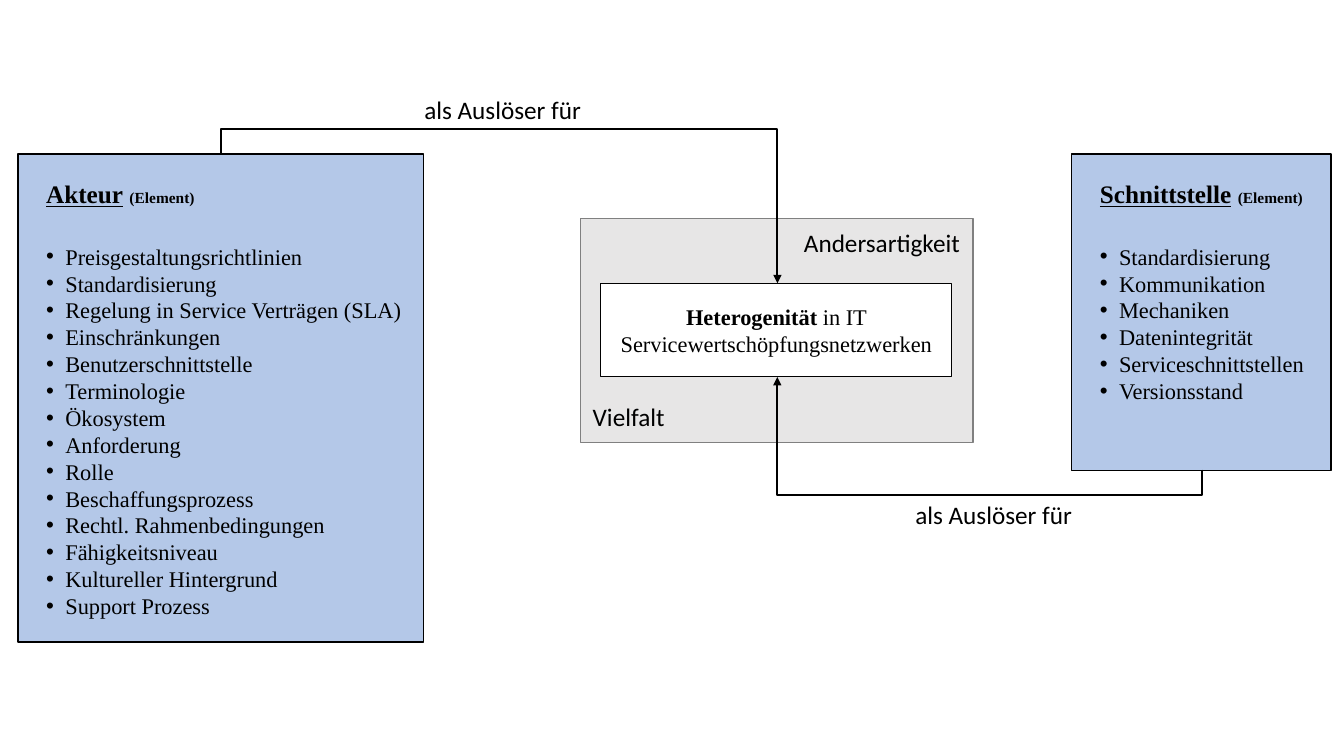
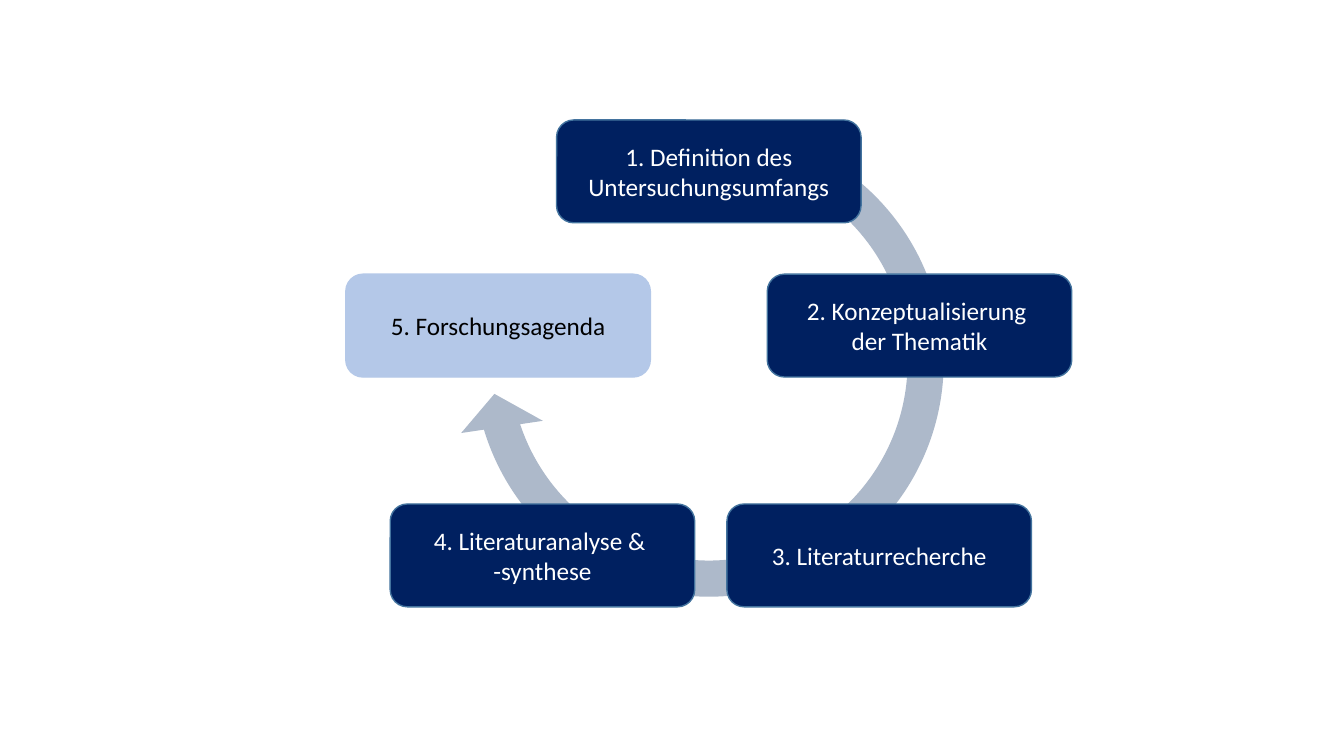
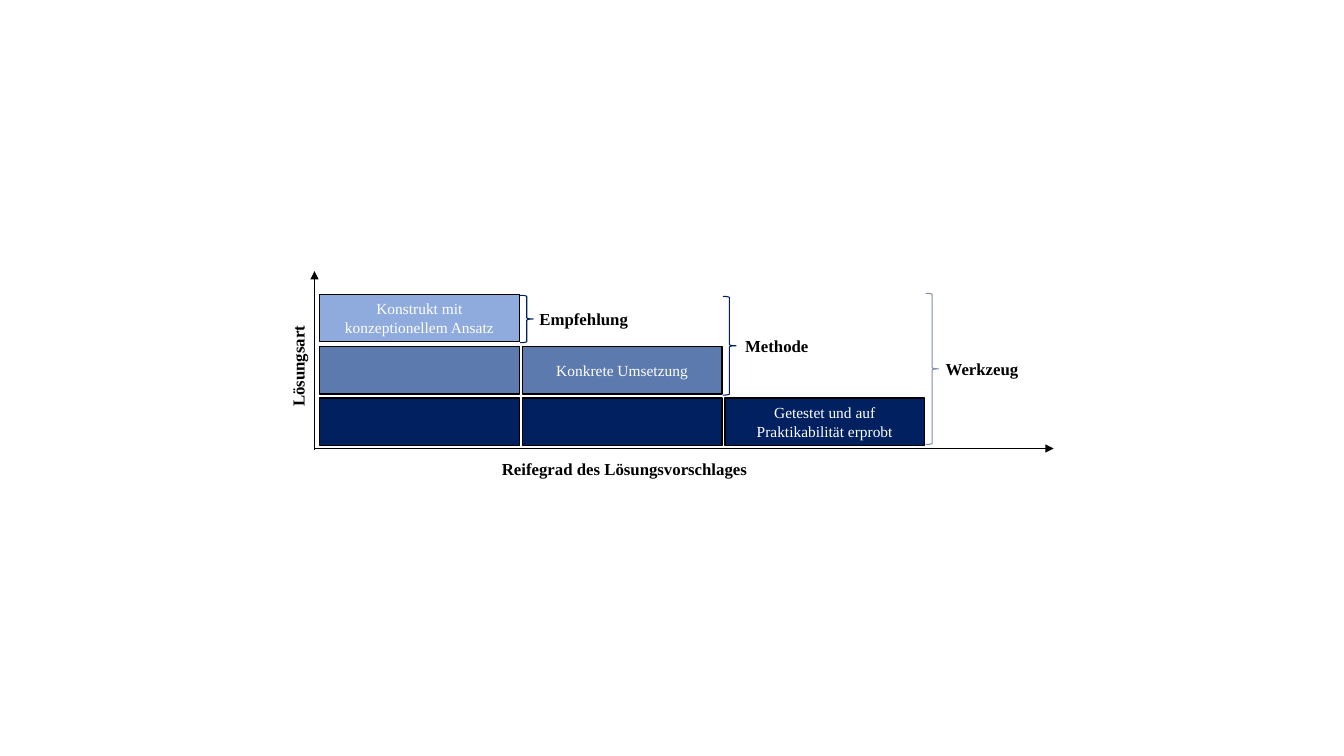
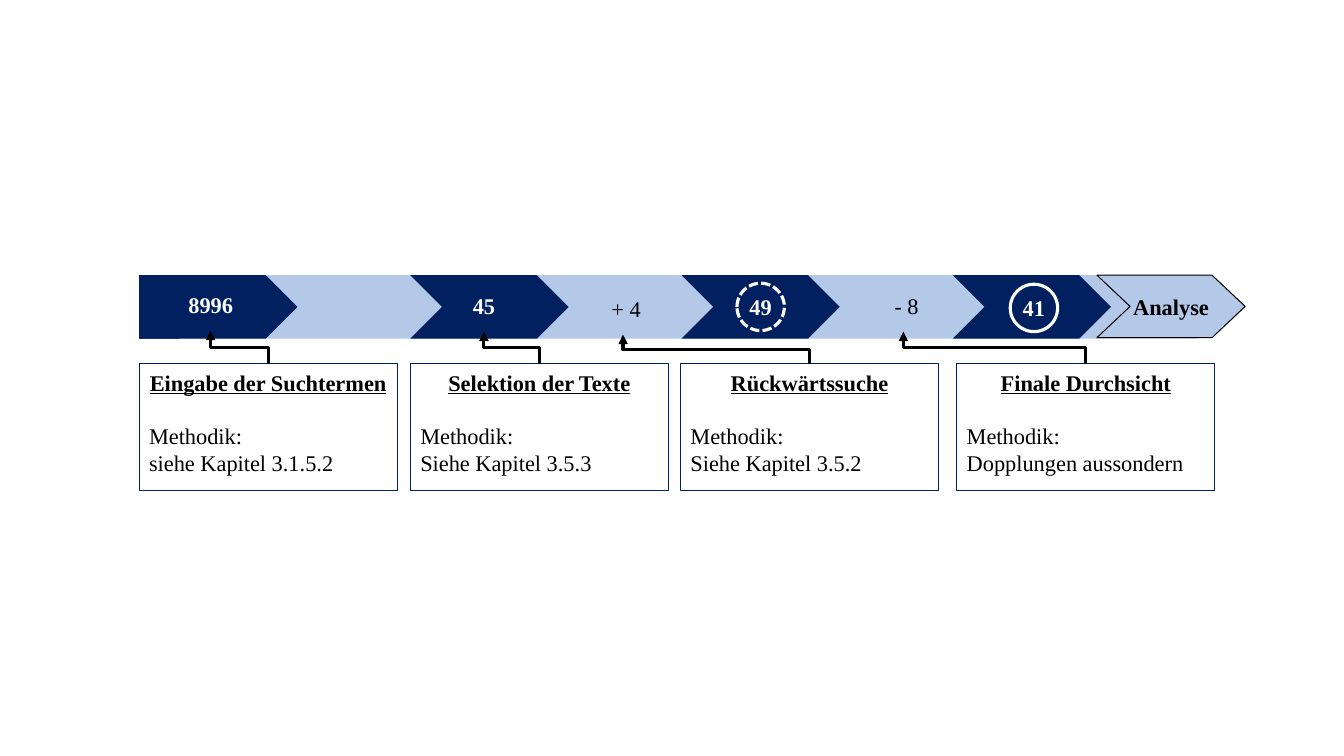
from lxml import etree
from pptx import Presentation
from pptx import util as u
from pptx.dml.color import RGBColor
from pptx.enum import dml, shapes, text
from pptx.oxml import ns

PX = 9144
BLACK = RGBColor(0x00, 0x00, 0x00)
WHITE = RGBColor(0xFF, 0xFF, 0xFF)
NAVY = RGBColor(0x00, 0x20, 0x60)
NAVY_EDGE = RGBColor(0x43, 0x73, 0x9E)
STEEL = RGBColor(0x2F, 0x55, 0x97)
SKY = RGBColor(0x8F, 0xAA, 0xDC)
PALE = RGBColor(0xB4, 0xC8, 0xE8)
SLATE = RGBColor(0xAD, 0xB9, 0xCA)
MUTED = RGBColor(0x83, 0x8C, 0xAF)
LIGHT_GREY = RGBColor(0xE7, 0xE6, 0xE6)
GREY = RGBColor(0x80, 0x80, 0x80)
SERIF = "Times New Roman"
SANS = "Calibri"
KIND = shapes.MSO_SHAPE
LEFT, CENTER, RIGHT = text.PP_ALIGN.LEFT, text.PP_ALIGN.CENTER, text.PP_ALIGN.RIGHT
TOP, MIDDLE = text.MSO_ANCHOR.TOP, text.MSO_ANCHOR.MIDDLE
PADDED = (10, 5, 10, 5)
TIGHT = (0, 0, 0, 0)


def px(*lengths):
    return [u.Emu(round(n * PX)) for n in lengths]


class Deck:
    def __init__(self, width, height):
        self.prs = Presentation()
        self.prs.slide_width, self.prs.slide_height = px(width, height)
        self.s = None

    def new_slide(self):
        self.s = self.prs.slides.add_slide(self.prs.slide_layouts[6])

    def add_text(self, tf, content, size=16, font=SERIF, color=BLACK, bold=False, align=LEFT,
                 anchor=TOP, margins=PADDED, wrap=True, bullets=False):
        tf.word_wrap = wrap
        tf.vertical_anchor = anchor
        tf.margin_left, tf.margin_top, tf.margin_right, tf.margin_bottom = px(*margins)
        paragraphs = [content] if isinstance(content, str) else content
        for i, runs in enumerate(paragraphs):
            p = tf.add_paragraph() if i else tf.paragraphs[0]
            p.alignment = align
            if bullets:
                self.bullet(p)
            for words, style in [(runs, {})] if isinstance(runs, str) else runs:
                r = p.add_run()
                r.text = words
                r.font.name = font
                r.font.size = u.Pt(style.get("size", size))
                r.font.bold = style.get("bold", bold)
                r.font.underline = style.get("underline", False)
                r.font.color.rgb = color

    def bullet(self, p):
        pPr = p._p.get_or_add_pPr()
        pPr.set("marL", str(19 * PX))
        pPr.set("indent", str(-19 * PX))
        etree.SubElement(pPr, ns.qn("a:buFont")).set("typeface", "Arial")
        etree.SubElement(pPr, ns.qn("a:buChar")).set("char", "•")

    def shape(self, kind, box, fill=None, line=None, width=1, content=None, alpha=None, **style):
        sp = self.s.shapes.add_shape(kind, *px(*box))
        sp.shadow.inherit = False
        if fill is None:
            sp.fill.background()
        else:
            sp.fill.solid()
            sp.fill.fore_color.rgb = fill
        if alpha is not None:
            clr = sp._element.spPr.find(".//" + ns.qn("a:srgbClr"))
            etree.SubElement(clr, ns.qn("a:alpha")).set("val", str(alpha * 1000))
        if line is None:
            sp.line.fill.background()
        else:
            sp.line.color.rgb = line
            sp.line.width = u.Pt(width)
        if content:
            self.add_text(sp.text_frame, content, **{"align": CENTER, "anchor": MIDDLE, **style})
        return sp

    def label(self, box, content, grow=True, **style):
        sp = self.s.shapes.add_textbox(*px(*box))
        self.add_text(sp.text_frame, content, **{"wrap": False, **style})
        if grow:
            sp.text_frame.auto_size = text.MSO_AUTO_SIZE.SHAPE_TO_FIT_TEXT
        return sp

    def arrow(self, start, end, width, kind=shapes.MSO_CONNECTOR.STRAIGHT):
        cxn = self.s.shapes.add_connector(kind, *px(*start, *end))
        cxn.line.color.rgb = BLACK
        cxn.line.width = u.Pt(width)
        spPr = cxn._element.spPr
        etree.SubElement(spPr.find(ns.qn("a:ln")), ns.qn("a:tailEnd")).set("type", "triangle")
        etree.SubElement(spPr, ns.qn("a:effectLst"))
        return cxn

    def elbow(self, start, end, via_y, width):
        (x1, y1), (x2, y2) = start, end
        cx, cy = (x1 + x2) / 2, (y1 + y2) / 2
        dx, dy = (x2 - x1) / 2, (y2 - y1) / 2
        cxn = self.arrow((cx - dy, cy + dx), (cx + dy, cy - dx), width,
                         shapes.MSO_CONNECTOR.ELBOW)
        spPr = cxn._element.spPr
        spPr.find(ns.qn("a:xfrm")).set("rot", "5400000")
        guide = etree.SubElement(spPr.find(".//" + ns.qn("a:avLst")), ns.qn("a:gd"))
        guide.set("name", "adj1")
        guide.set("fmla", f"val {round((via_y - y1) / (y2 - y1) * 100000)}")


def element_panel(deck, box, name, items):
    left, top, width, height = box
    deck.shape(KIND.RECTANGLE, box, PALE, BLACK)
    heading = [(name, {"underline": True}), (" ", {}), ("(Element)", {"size": 11})]
    deck.label((left + 18, top + 19, width - 26, 40), [heading], size=18, bold=True, wrap=True)
    deck.label((left + 18, top + 83, width - 18, 27 * len(items) + 10), items,
               wrap=True, bullets=True)


def heterogeneity_slide(deck):
    deck.new_slide()
    deck.shape(KIND.RECTANGLE, (576, 217, 389, 222), LIGHT_GREY, GREY)
    element_panel(deck, (1063, 153, 257, 314), "Schnittstelle", [
        "Standardisierung", "Kommunikation", "Mechaniken", "Datenintegrität",
        "Serviceschnittstellen", "Versionsstand"])
    element_panel(deck, (18, 153, 402, 484), "Akteur", [
        "Preisgestaltungsrichtlinien", "Standardisierung",
        "Regelung in Service Verträgen (SLA)", "Einschränkungen", "Benutzerschnittstelle",
        "Terminologie", "Ökosystem", "Anforderung", "Rolle", "Beschaffungsprozess",
        "Rechtl. Rahmenbedingungen", "Fähigkeitsniveau", "Kultureller Hintergrund",
        "Support Prozess"])
    deck.elbow((219, 153), (771, 281), 128, 1.5)
    deck.elbow((1192, 466), (771, 374), 491, 1.5)
    for left, top in ((411, 89), (898, 490)):
        deck.label((left, top, 167, 40), "als Auslöser für", size=18, font=SANS,
                   margins=(10, 5, 0, 5))
    deck.label((578, 393, 92, 40), "Vielfalt", size=18, font=SANS)
    deck.label((785, 221, 177, 40), "Andersartigkeit", size=18, font=SANS, align=RIGHT)
    deck.shape(KIND.RECTANGLE, (596, 281, 348, 93), WHITE, BLACK, 0.75,
               [[("Heterogenität", {"bold": True}),
                 (" in IT Servicewertschöpfungsnetzwerken", {})]])


def research_cycle_slide(deck):
    deck.new_slide()
    ring = deck.shape(KIND.CIRCULAR_ARROW, (447, 103, 512, 512), SLATE)
    ring.rotation = 90
    for i, value in enumerate((0.07, 5.38, 43.52, 108, 0.08)):
        ring.adjustments[i] = value
    dark = (NAVY, NAVY_EDGE, WHITE)
    for left, top, content, (fill, line, color) in (
            (552, 119, "1. Definition des Untersuchungsumfangs", dark),
            (761, 272, ["2. Konzeptualisierung ", "der Thematik"], dark),
            (721, 500, "3. Literaturrecherche", dark),
            (387, 500, ["4. Literaturanalyse & ", "-synthese"], dark),
            (343, 272, "5. Forschungsagenda", (PALE, PALE, BLACK))):
        deck.shape(KIND.ROUNDED_RECTANGLE, (left, top, 302, 102), fill, line,
                   content=content, size=18, font=SANS, color=color)


def maturity_slide(deck):
    deck.new_slide()
    deck.arrow((312, 446), (312, 269), 1)
    deck.arrow((312, 445), (1045, 445), 1)
    axis = deck.label((245, 348, 101, 30), "Lösungsart", size=12, bold=True)
    axis.rotation = 270
    deck.label((488, 450, 266, 30), "Reifegrad des Lösungsvorschlages", size=12, bold=True)
    steps = (
        (292, SKY, None, "Konstrukt mit konzeptionellem Ansatz"),
        (344, STEEL, 78, "Konkrete Umsetzung"),
        (395, NAVY, None, "Getestet und auf Praktikabilität erprobt"))
    for row, (top, fill, alpha, content) in enumerate(steps):
        for col in range(row + 1):
            deck.shape(KIND.RECTANGLE, (317 + 201 * col, top, 198, 47), fill, BLACK,
                       content=content if col == row else None, alpha=alpha,
                       size=11, color=WHITE)
    for left, top, height, line, name, name_left, name_width in (
            (516, 293, 47, NAVY, "Empfehlung", 535, 89),
            (717, 294, 98, NAVY, "Methode", 739, 64),
            (918, 291, 150, MUTED, "Werkzeug", 938, 73)):
        deck.shape(KIND.RIGHT_BRACE, (left, top, 13, height), None, line, 0.75)
        deck.label((name_left, top + height // 2 - 13, name_width, 26), name, grow=False,
                   size=12, bold=True, anchor=MIDDLE, margins=TIGHT)


def selection_slide(deck):
    deck.new_slide()
    deck.shape(KIND.RECTANGLE, (138, 273, 1049, 63), PALE)
    deck.shape(KIND.RECTANGLE, (138, 273, 40, 63), NAVY)
    for i in range(4):
        deck.shape(KIND.CHEVRON, (138 + 269 * i, 273, 157, 63), NAVY)
    for left, title, reference in (
            (138, "Eingabe der Suchtermen", "siehe Kapitel 3.1.5.2"),
            (407, "Selektion der Texte", "Siehe Kapitel 3.5.3"),
            (675, "Rückwärtssuche", "Siehe Kapitel 3.5.2"),
            (949, "Finale Durchsicht", "Dopplungen aussondern")):
        heading = [(title, {"bold": True, "underline": True})]
        sp = deck.shape(KIND.RECTANGLE, (left, 361, 256, 126), None, NAVY, 0.75,
                        [heading, "Methodik:", reference], align=LEFT, anchor=TOP)
        first, method, _ = sp.text_frame.paragraphs
        first.alignment = CENTER
        method.space_before = u.Pt(19)
    for center, top, content, color, bold in (
            (209, 289, "8996", WHITE, True), (480, 290, "45", WHITE, True),
            (621, 293, "+ 4", BLACK, False), (899, 290, "- 8", BLACK, False)):
        deck.label((center - 30, top, 60, 27), content, color=color, bold=bold,
                   align=CENTER, margins=TIGHT, wrap=True)
    for start_x, end_x, end_y, via_y in (
            (266, 209, 328, 345), (535, 480, 329, 345),
            (803, 618, 332, 347), (1077, 896, 329, 345)):
        deck.elbow((start_x, 361), (end_x, end_y), via_y, 2.25)
    analysis = deck.shape(KIND.CHEVRON, (1088, 273, 147, 62), PALE, BLACK, 0.75, "Analyse",
                          bold=True, margins=TIGHT)
    analysis.adjustments[0] = 0.53
    rings = [deck.shape(KIND.OVAL, (left, top, 47, 47), None, WHITE, 2.25, count,
                        color=WHITE, bold=True, margins=TIGHT, wrap=False)
             for left, top, count in ((1002, 282, "41"), (731, 281, "49"))]
    rings[1].line.dash_style = dml.MSO_LINE.SQUARE_DOT


def main():
    deck = Deck(1333, 750)
    heterogeneity_slide(deck)
    research_cycle_slide(deck)
    maturity_slide(deck)
    selection_slide(deck)
    deck.prs.save("out.pptx")


if __name__ == "__main__":
    main()
